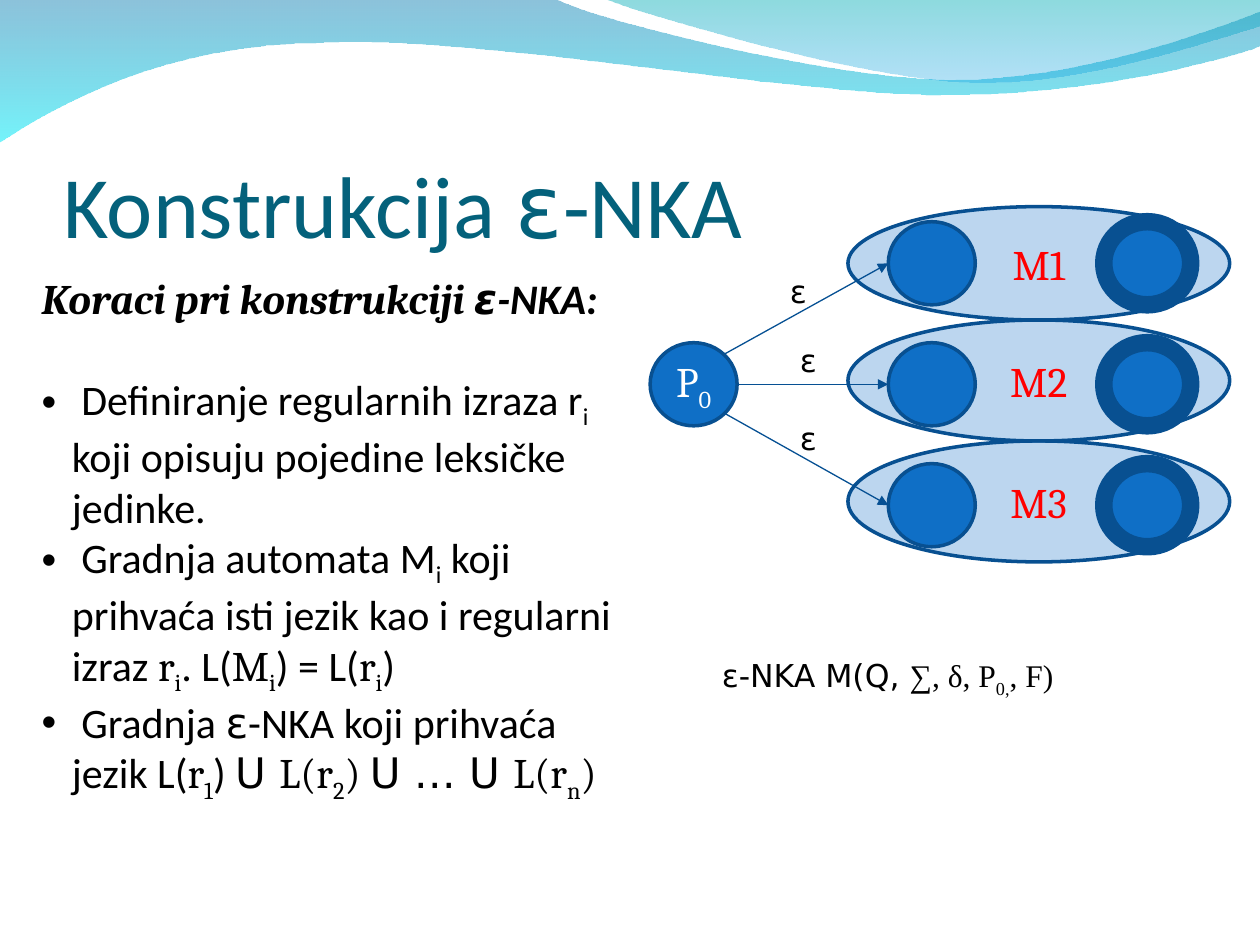
"""Build the slide on constructing an ε-NKA from regular expressions."""
from lxml import etree
from pptx import Presentation
from pptx.dml.color import RGBColor
from pptx.enum import shapes, text
from pptx.oxml import ns
from pptx.util import Inches, Pt

BLUE = RGBColor(0x0F, 0x6F, 0xC6)
NAVY = RGBColor(0x08, 0x50, 0x91)
ARROW = RGBColor(0x06, 0x50, 0x93)
TEAL = RGBColor(0x04, 0x61, 0x7B)
RED = RGBColor(0xFF, 0, 0)
BLACK = RGBColor(0, 0, 0)
WHITE = RGBColor(0xFF, 0xFF, 0xFF)
CAL, CAM, DEJ, TIM = "Calibri", "Cambria", "DejaVu Sans", "Times New Roman"

TITLE = [("Konstrukcija ", CAL), ("ε", DEJ), ("-NKA", CAL)]
HEADING = [("Koraci pri konstrukciji ", CAM), ("ε", DEJ), ("-NKA:", CAL)]
STEPS = [
    [(" Definiranje regularnih izraza r", CAL), ("i", CAL, "sub"),
     (" koji opisuju pojedine leksičke jedinke.", CAL)],
    [(" Gradnja automata M", CAL), ("i", CAL, "sub"),
     (" koji prihvaća isti jezik kao i regularni izraz ", CAL),
     ("r", CAM), ("i", CAM, "sub"), (". L(", CAL), ("M", CAM), ("i", CAM, "sub"),
     (") = L(", CAL), ("r", CAM), ("i", CAM, "sub"), (")", CAL)],
    [(" Gradnja ", CAL), ("ε", DEJ), ("-NKA koji prihvaća jezik L(", CAL),
     ("r", CAM), ("1", CAM, "sub"), (") ", CAL), ("U ", DEJ), ("L(r", CAM),
     ("2", CAM, "sub"), (") ", CAM), ("U … U ", DEJ), ("L(r", CAM),
     ("n", CAM, "sub"), (")", CAM)],
]
START = [("P", CAM), ("0", CAM, "sub")]
FORMULA = [("ε-NKA M(Q, ", DEJ), ("∑, δ, P", TIM), ("0,", TIM, "sub"), (", F)", TIM)]
AUTOMATA = [("M1", 1.64, 0.9), ("M2", 2.54, 0.96), ("M3", 3.5, 0.96)]
EPSILONS = [(6.17, 2.11), (6.25, 2.66), (6.25, 3.28)]
ARROW_STARTS = [(5.75, 2.81), (5.85, 3.05), (5.75, 3.28)]
STATE_W, STATE_H, STATE_TOP, STATE_PITCH = 0.69, 0.66, 1.76, 0.96
START_X, ENTRY_X, FINAL_X = 5.16, 7.05, 8.76

WAVES = [
    ([(0, -0.01), (4.4, -0.01),
      (4.76, 0.17, 6.64, 0.63, 7.58, 0.63), (8.53, 0.63, 9.58, 0.26, 10, 0.09),
      (10.01, 0.36), (9.83, 0.44, 8.7, 0.76, 7.46, 0.75),
      (6.22, 0.75, 3.82, 0.28, 2.57, 0.34), (1.29, 0.35, 0.46, 0.83, -0.01, 1.13)],
     [("0079AF", 45), ("00EBF8", 55)]),
    ([(4.79, -0.01), (5.09, 0.11, 6.82, 0.62, 7.69, 0.65),
      (8.56, 0.69, 9.61, 0.32, 10, 0.21), (10, 0)],
     [("00ADB6", 45), ("009BE5", 30)]),
]


def add(parent, tag, **attrs):
    return etree.SubElement(parent, ns.qn(tag), attrs)


def set_alpha(fill_xml, percents):
    for clr, pct in zip(fill_xml.iter(ns.qn("a:srgbClr")), percents):
        add(clr, "a:alpha", val=str(pct * 1000))


def write(p, runs, size, color, bold=False, italic=False):
    p.space_before = Pt(0)
    for content, font, *sub in runs:
        r = p.add_run()
        r.text = content
        r.font.name, r.font.size = font, Pt(size)
        r.font.bold, r.font.italic = bold, italic
        r.font.color.rgb = color
        if sub:
            r.font._element.set("baseline", "-25000")


def place(sp, x, y, w, h):
    sp.left, sp.top, sp.width, sp.height = map(Inches, (x, y, w, h))


def bend_curves(sp, segments):
    steps = iter(list(sp._element.iter(ns.qn("a:lnTo"))))
    for seg in segments[1:]:
        first = next(steps)
        if len(seg) == 6:
            curve = etree.Element(ns.qn("a:cubicBezTo"))
            first.addprevious(curve)
            for step in (first, next(steps), next(steps)):
                curve.append(step[0])
                step.getparent().remove(step)


def add_wave(s, segments, stops):
    points = [(Inches(seg[i]), Inches(seg[i + 1]))
              for seg in segments for i in range(0, len(seg), 2)]
    builder = s.shapes.build_freeform(*points[0])
    builder.add_line_segments(points[1:], close=True)
    sp = builder.convert_to_shape()
    bend_curves(sp, segments)
    sp.shadow.inherit = False
    sp.line.fill.background()
    sp.fill.gradient()
    sp.fill.gradient_angle = 270
    for stop, (rgb, _) in zip(sp.fill.gradient_stops, stops):
        stop.color.rgb = RGBColor.from_string(rgb)
    set_alpha(sp._element.spPr, [pct for _, pct in stops])


def add_ellipse(s, x, y, w, h, border=2, alpha=None, runs=(), color=WHITE):
    sp = s.shapes.add_shape(shapes.MSO_SHAPE.OVAL, *map(Inches, (x, y, w, h)))
    sp.shadow.inherit = False
    sp.fill.solid()
    sp.fill.fore_color.rgb = BLUE
    if alpha:
        set_alpha(sp._element.spPr, [alpha])
    sp.line.color.rgb, sp.line.width = NAVY, Pt(border)
    if runs:
        tf = sp.text_frame
        tf.vertical_anchor = text.MSO_ANCHOR.MIDDLE
        tf.paragraphs[0].alignment = text.PP_ALIGN.CENTER
        write(tf.paragraphs[0], runs, 24, color)


def add_arrow(s, begin, end):
    line = s.shapes.add_connector(shapes.MSO_CONNECTOR.STRAIGHT, *map(Inches, begin + end))
    line.line.color.rgb, line.line.width = ARROW, Pt(0.75)
    add(line.line._get_or_add_ln(), "a:tailEnd", type="triangle")
    add(line._element.spPr, "a:effectLst")


def add_label(s, x, y, w, h, runs):
    tf = s.shapes.add_textbox(*map(Inches, (x, y, w, h))).text_frame
    tf.word_wrap = True
    write(tf.paragraphs[0], runs, 18, BLACK)


def add_title(s):
    sp = s.shapes.title
    place(sp, 0.5, 0.78, 9, 1.25)
    tf = sp.text_frame
    tf.auto_size = text.MSO_AUTO_SIZE.NONE
    tf.vertical_anchor = text.MSO_ANCHOR.BOTTOM
    tf.margin_left = tf.margin_right = tf.margin_bottom = 0
    tf.paragraphs[0].alignment = text.PP_ALIGN.LEFT
    write(tf.paragraphs[0], TITLE, 50, TEAL)


def add_steps(s):
    sp = s.placeholders[1]
    place(sp, 0.23, 2.11, 4.77, 4.72)
    tf = sp.text_frame
    tf.auto_size = text.MSO_AUTO_SIZE.NONE
    p = tf.paragraphs[0]
    pPr = p._p.get_or_add_pPr()
    pPr.set("marL", "0")
    pPr.set("indent", "0")
    add(pPr, "a:buNone")
    write(p, HEADING, 24, BLACK, bold=True, italic=True)
    indent = Inches(0.24)
    for i, runs in enumerate(STEPS):
        p = tf.add_paragraph()
        pPr = p._p.get_or_add_pPr()
        pPr.set("marL", str(indent))
        pPr.set("indent", str(-indent))
        add(add(pPr, "a:buClr"), "a:srgbClr", val=str(BLACK))
        add(pPr, "a:buFont", typeface="Arial")
        add(pPr, "a:buChar", char="•")
        write(p, runs, 24, BLACK)
        if i == 0:
            p.space_before = Pt(29)


def main():
    prs = Presentation()
    prs.slide_width, prs.slide_height = Inches(10), Inches(7.5)
    s = prs.slides.add_slide(prs.slide_layouts[1])
    for segments, stops in WAVES:
        add_wave(s, segments, stops)
    add_title(s)
    add_steps(s)
    for name, top, height in AUTOMATA:
        add_ellipse(s, 6.73, top, 3.03, height, alpha=28, runs=[(name, CAM)], color=RED)
    add_ellipse(s, START_X, STATE_TOP + STATE_PITCH, STATE_W, STATE_H, runs=START)
    for i, (begin, label) in enumerate(zip(ARROW_STARTS, EPSILONS)):
        top = STATE_TOP + i * STATE_PITCH
        add_ellipse(s, ENTRY_X, top, STATE_W, STATE_H)
        add_ellipse(s, FINAL_X, top, STATE_W, STATE_H, border=10)
        add_arrow(s, begin, (ENTRY_X, top + STATE_H / 2))
        add_label(s, *label, 0.31, 0.4, [("ε", DEJ)])
    add_label(s, 5.63, 5.16, 3.28, 0.44, FORMULA)
    prs.save("out.pptx")


if __name__ == "__main__":
    main()
